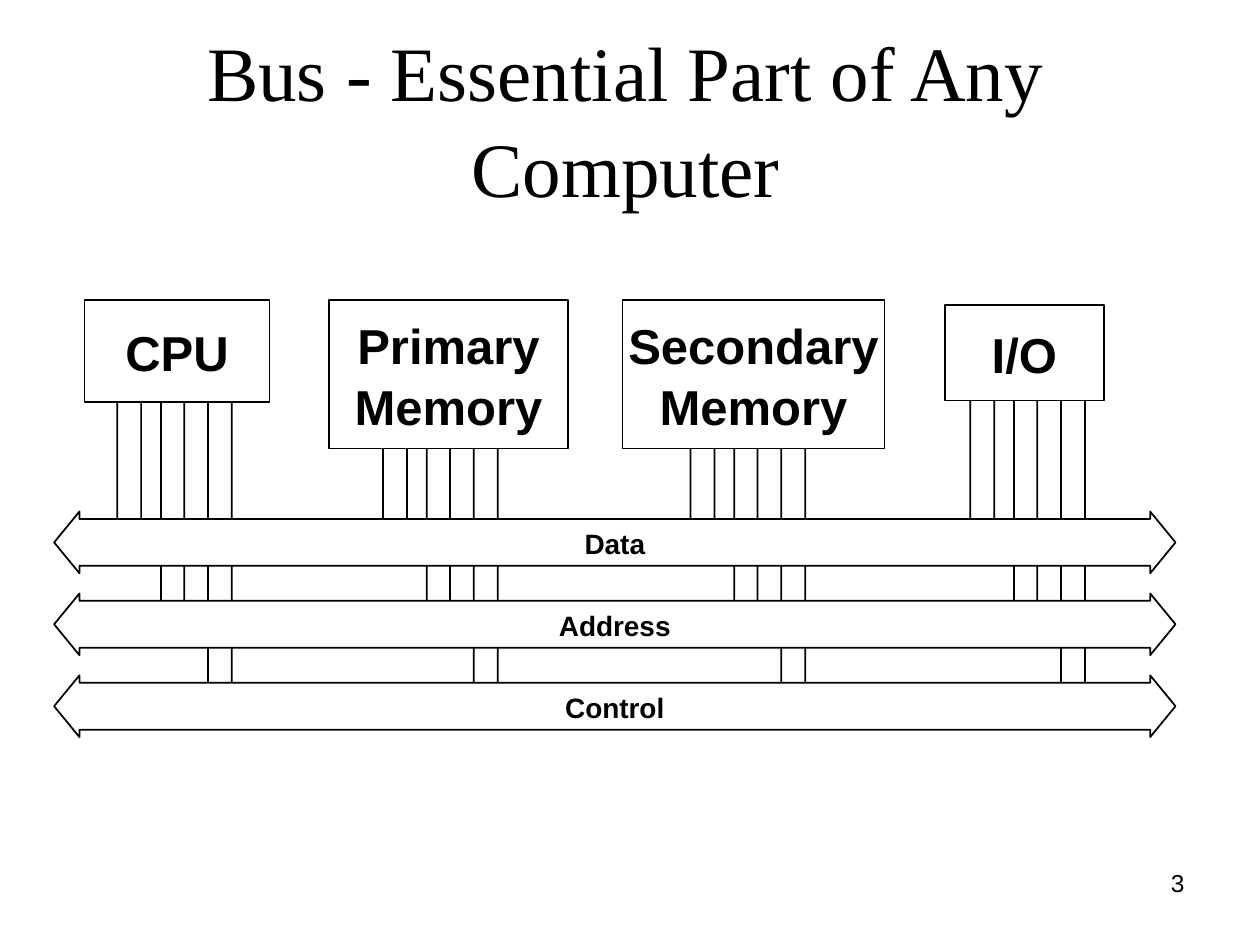
"""Draw a slide of four computer parts joined by data, address and control buses."""
from pptx import Presentation
from pptx.dml.color import RGBColor
from pptx.enum.shapes import MSO_SHAPE
from pptx.enum.text import MSO_ANCHOR, MSO_AUTO_SIZE, PP_ALIGN
from pptx.util import Inches, Pt

BLACK = RGBColor(0, 0, 0)
WHITE = RGBColor(255, 255, 255)

deck = Presentation()
deck.slide_width, deck.slide_height = Inches(10), Inches(7.5)
COL, ROW = deck.slide_width / 100, deck.slide_height / 75
slide = deck.slides.add_slide(deck.slide_layouts[5])


def write(shape, text, size, font="Arial", bold=False, align=PP_ALIGN.CENTER,
          anchor=MSO_ANCHOR.MIDDLE, wrap=False):
    frame = shape.text_frame
    frame.text = text
    frame.word_wrap = wrap
    frame.auto_size = MSO_AUTO_SIZE.NONE
    frame.vertical_anchor = anchor
    for para in frame.paragraphs:
        para.alignment = align
        para.line_spacing = 1.04
        face = para.runs[0].font
        face.name, face.size, face.bold = font, Pt(size), bold
        face.color.rgb = BLACK


def draw(kind, left, top, width, height, adjust=()):
    shape = slide.shapes.add_shape(
        kind, int(left * COL), int(top * ROW), int(width * COL), int(height * ROW))
    shape.shadow.inherit = False
    shape.fill.solid()
    shape.fill.fore_color.rgb = WHITE
    shape.line.color.rgb = BLACK
    shape.line.width = Pt(1)
    for spot, value in enumerate(adjust):
        shape.adjustments[spot] = value
    return shape


title = slide.shapes.title
title.left, title.top = int(5 * COL), int(3 * ROW)
title.width, title.height = int(89.3 * COL), int(12.5 * ROW)
write(title, "Bus - Essential Part of Any Computer", 44, "Times New Roman", wrap=True)

page = slide.shapes.add_textbox(
    int(71.7 * COL), int(68.3 * ROW), int(23.3 * COL), int(5.2 * ROW))
write(page, "3", 14, align=PP_ALIGN.RIGHT, anchor=MSO_ANCHOR.TOP, wrap=True)

lanes = [
    (0, 1.9, 14.7, (0.5, 1.09)),
    (3.2, 2.4, 21, (0.44, 0.77)),
    (7.2, 1.9, 28.7, (0.55, 1.1)),
]
for start in (9.3, 30.4, 54.8, 77):
    for shift, width, height, adjust in lanes:
        draw(MSO_SHAPE.UP_DOWN_ARROW, start + shift, 29, width, height, adjust)

parts = [
    ("CPU", 6.7, 23.8, 14.7, 8.1),
    ("Primary\nMemory", 26.1, 23.8, 19, 11.8),
    ("Secondary\nMemory", 49.4, 23.8, 20.8, 11.8),
    ("I/O", 75, 24.2, 12.6, 7.6),
]
for name, *place in parts:
    write(draw(MSO_SHAPE.RECTANGLE, *place), name, 28, bold=True)

for step, name in enumerate(("Data", "Address", "Control")):
    bus = draw(MSO_SHAPE.LEFT_RIGHT_ARROW, 4.3, 40.6 + 6.5 * step, 89, 4.9, (0.76, 0.41))
    write(bus, name, 16, bold=True)

deck.save("out.pptx")
